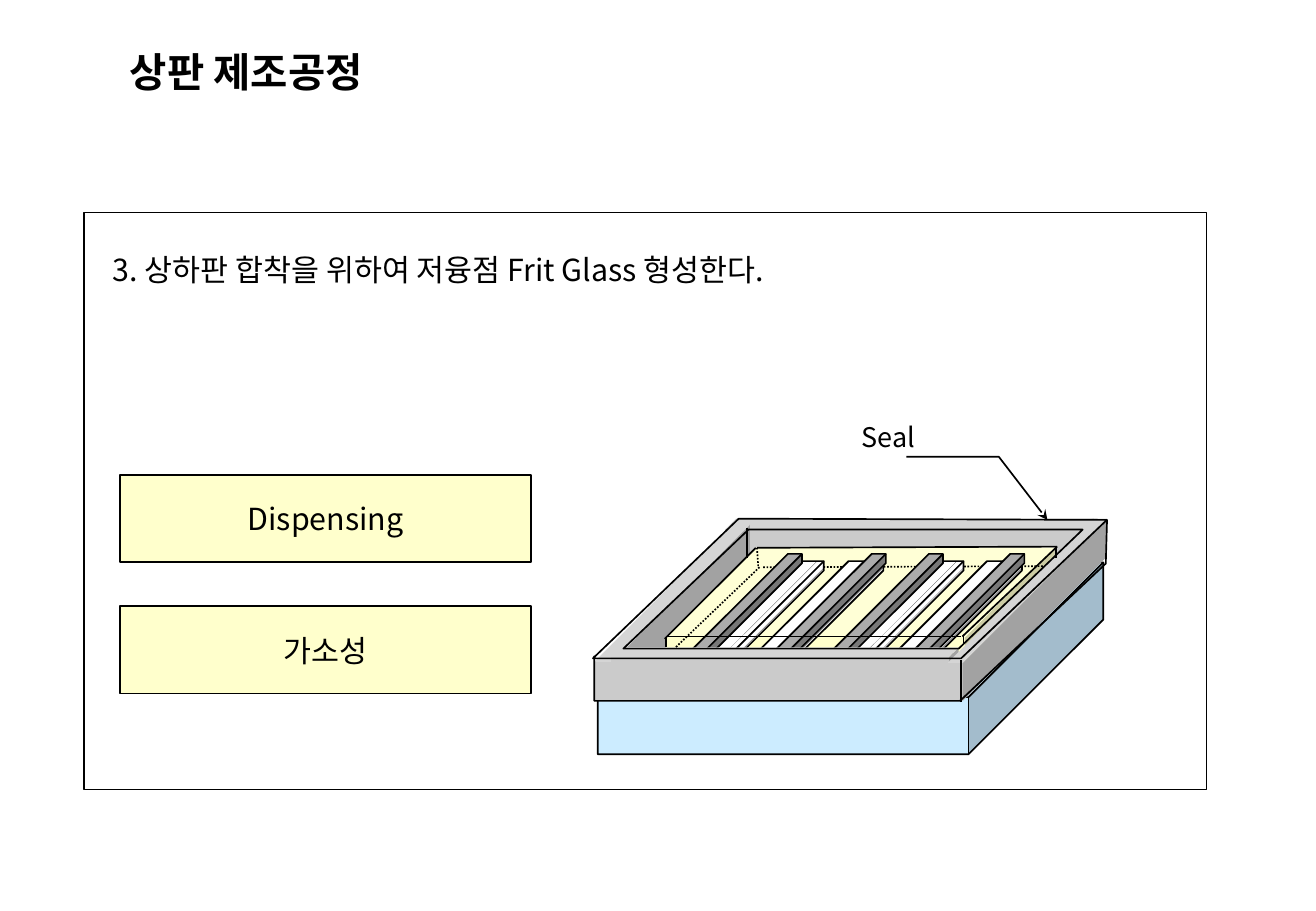
from lxml import etree
from pptx import Presentation
from pptx.dml.color import RGBColor
from pptx.enum.dml import MSO_LINE, MSO_PATTERN
from pptx.enum.shapes import MSO_CONNECTOR, MSO_SHAPE
from pptx.enum.text import MSO_ANCHOR, PP_ALIGN
from pptx.oxml.ns import qn
from pptx.util import Inches, Pt

BLACK = RGBColor(0x00, 0x00, 0x00)
WHITE = RGBColor(0xFF, 0xFF, 0xFF)
CREAM = RGBColor(0xFF, 0xFF, 0xCC)
GLASS_BLUE = RGBColor(0xCC, 0xEC, 0xFF)
SEAL_GREY = RGBColor(0xCB, 0xCB, 0xCB)
RIB_GREY = RGBColor(0x96, 0x96, 0x96)
KOREAN_FONT = "Noto Sans CJK KR"

# Left edges of each light rib and the dark rib in front of it
RIB_PAIRS = [(5.61, 5.61), (6.1, 6.3), (6.76, 6.77), (7.24, 7.44)]

# Each edge: x1, y1, x2, y2
HIDDEN_GLASS_EDGES = [(6.35, 4.66, 5.35, 5.6), (6.35, 4.66, 6.35, 4.43)]
GLASS_EDGES = [
    (7.89, 5.6, 5.35, 5.6), (7.86, 5.38, 7.86, 5.6), (7.85, 5.36, 8.79, 4.43),
    (7.91, 5.6, 8.81, 4.69), (8.8, 4.43, 8.8, 4.69), (5.35, 5.37, 5.35, 5.59),
]
HIDDEN_LAYER_BACK = [(8.83, 4.66, 6.28, 4.67)]
LAYER_BACK_EDGES = [
    (7.84, 5.38, 5.35, 5.35), (5.47, 5.26, 6.22, 4.51), (8.7, 4.5, 6.23, 4.51),
]
HIDDEN_LAYER_SIDE = [(6.23, 4.51, 6.24, 4.67), (6.25, 4.67, 5.56, 5.33)]
SEAL_CORNERS = [(7.91, 5.78, 7.91, 5.43), (6.15, 4.35, 6.15, 4.59)]
LAYER_FRONT_EDGES = [
    (5.48, 5.25, 5.48, 5.33), (5.48, 5.24, 7.91, 5.24), (8.69, 4.5, 8.69, 4.59),
    (7.93, 5.24, 7.93, 5.3), (7.92, 5.24, 8.7, 4.5),
]

SEAL_RIM = [(9.11, 4.28), (7.91, 5.42), (4.88, 5.42), (6.08, 4.27), (9.11, 4.28)]
SEAL_OPENING = [(8.91, 4.36), (6.16, 4.36), (5.13, 5.34), (7.89, 5.34), (8.91, 4.36)]
SEAL_SIDES = [(9.11, 4.28), (9.1, 4.64), (7.9, 5.77), (4.89, 5.77), (4.89, 5.4)]
SEAL_POINTER = [(7.46, 3.76), (8.22, 3.76), (8.62, 4.28)]


def set_outline(line):
    line.color.rgb = BLACK
    line.width = Pt(1)


def add_block(slide, kind, box, fill=None, outlined=True, depth=None):
    """Add a rectangle or cube; depth is the cube's adjustment."""
    shape = slide.shapes.add_shape(kind, *map(Inches, box))
    shape.shadow.inherit = False
    if fill is None:
        shape.fill.background()
    else:
        shape.fill.solid()
        shape.fill.fore_color.rgb = fill
    if outlined:
        set_outline(shape.line)
    else:
        shape.line.fill.background()
    if depth is not None:
        shape.adjustments[0] = depth
    return shape


def add_cube(slide, box, depth, fill, outlined=False):
    return add_block(slide, MSO_SHAPE.CUBE, box, fill, outlined, depth)


def add_edges(slide, edges, dotted=False):
    for edge in edges:
        connector = slide.shapes.add_connector(
            MSO_CONNECTOR.STRAIGHT, *map(Inches, edge))
        set_outline(connector.line)
        if dotted:
            connector.line.dash_style = MSO_LINE.ROUND_DOT
        etree.SubElement(connector._element.spPr, qn("a:effectLst"))


def add_outline(slide, points, arrow=False):
    start, *others = [tuple(map(Inches, point)) for point in points]
    builder = slide.shapes.build_freeform(*start)
    builder.add_line_segments(others, close=points[0] == points[-1])
    shape = builder.convert_to_shape()
    shape.shadow.inherit = False
    shape.fill.background()
    set_outline(shape.line)
    if arrow:
        line = shape.line._get_or_add_ln()
        etree.SubElement(line, qn("a:tailEnd"), type="stealth")


def write_text(shape, text, size, font=KOREAN_FONT, bold=False,
               align=PP_ALIGN.LEFT, **frame_format):
    frame = shape.text_frame
    for name, value in frame_format.items():
        setattr(frame, name, value)
    paragraph = frame.paragraphs[0]
    paragraph.alignment = align
    run = paragraph.add_run()
    run.text = text
    font_format = {"name": font, "size": Pt(size), "bold": bold}
    for name, value in font_format.items():
        setattr(run.font, name, value)
    run.font.color.rgb = BLACK
    etree.SubElement(run._r.get_or_add_rPr(), qn("a:ea"), typeface=KOREAN_FONT)


def add_label(slide, box, text, size, **options):
    label = slide.shapes.add_textbox(*map(Inches, box))
    write_text(label, text, size, **options)


def add_step(slide, top, text):
    step = add_block(slide, MSO_SHAPE.RECTANGLE, (0.99, top, 3.38, 0.72), CREAM)
    write_text(step, text, 18, align=PP_ALIGN.CENTER, word_wrap=False,
               vertical_anchor=MSO_ANCHOR.MIDDLE)


def add_ribs(slide):
    for light_left, dark_left in RIB_PAIRS:
        light = add_cube(slide, (light_left, 4.62, 1.17, 0.96), 0.92, WHITE, True)
        light.fill.patterned()
        light.fill.pattern = MSO_PATTERN.PERCENT_10
        light.fill.fore_color.rgb = BLACK
        light.fill.back_color.rgb = WHITE
        add_cube(slide, (dark_left, 4.56, 0.99, 0.95), 0.92, RIB_GREY, True)


def add_panel_drawing(slide):
    """Draw the glass, phosphor layer, ribs and seal from back to front."""
    add_cube(slide, (4.92, 4.63, 4.16, 1.58), 0.702, GLASS_BLUE, True)
    add_edges(slide, HIDDEN_GLASS_EDGES, dotted=True)
    add_edges(slide, GLASS_EDGES)
    add_cube(slide, (5.97, 4.27, 3.03, 0.37), 0.236, SEAL_GREY)
    add_cube(slide, (4.89, 4.32, 1.28, 1.45), 0.882, SEAL_GREY)
    add_cube(slide, (5.48, 4.51, 3.2, 0.94), 0.786, CREAM)
    add_edges(slide, HIDDEN_LAYER_BACK, dotted=True)
    add_ribs(slide)
    add_edges(slide, LAYER_BACK_EDGES)
    add_cube(slide, (5.03, 5.33, 2.86, 0.43), 0.184, SEAL_GREY)
    add_cube(slide, (7.8, 4.27, 1.31, 1.5), 0.906, SEAL_GREY)
    add_edges(slide, HIDDEN_LAYER_SIDE, dotted=True)
    for points in (SEAL_RIM, SEAL_OPENING, SEAL_SIDES):
        add_outline(slide, points)
    add_edges(slide, SEAL_CORNERS)
    add_outline(slide, SEAL_POINTER, arrow=True)
    add_edges(slide, LAYER_FRONT_EDGES)


def main():
    presentation = Presentation()
    presentation.slide_width = Inches(10.83)
    presentation.slide_height = Inches(7.5)
    slide = presentation.slides.add_slide(presentation.slide_layouts[6])

    add_label(slide, (0.97, 0.39, 9.23, 0.61), "상판 제조공정", 24, font="Arial",
              bold=True, word_wrap=True, margin_top=0)
    add_block(slide, MSO_SHAPE.RECTANGLE, (0.69, 1.75, 9.24, 4.75))
    add_panel_drawing(slide)
    add_label(slide, (7.07, 3.45, 0.49, 0.3), "Seal", 16, word_wrap=False,
              margin_left=Inches(0.02), margin_right=Inches(0.02),
              margin_top=Inches(0.01), margin_bottom=Inches(0.01))
    add_step(slide, 3.91, "Dispensing")
    add_step(slide, 4.99, "가소성")
    add_label(slide, (0.83, 2.02, 9, 0.5),
              "3. 상하판 합착을 위하여 저융점 Frit Glass 형성한다.", 18, word_wrap=True)
    presentation.save("out.pptx")


if __name__ == "__main__":
    main()
